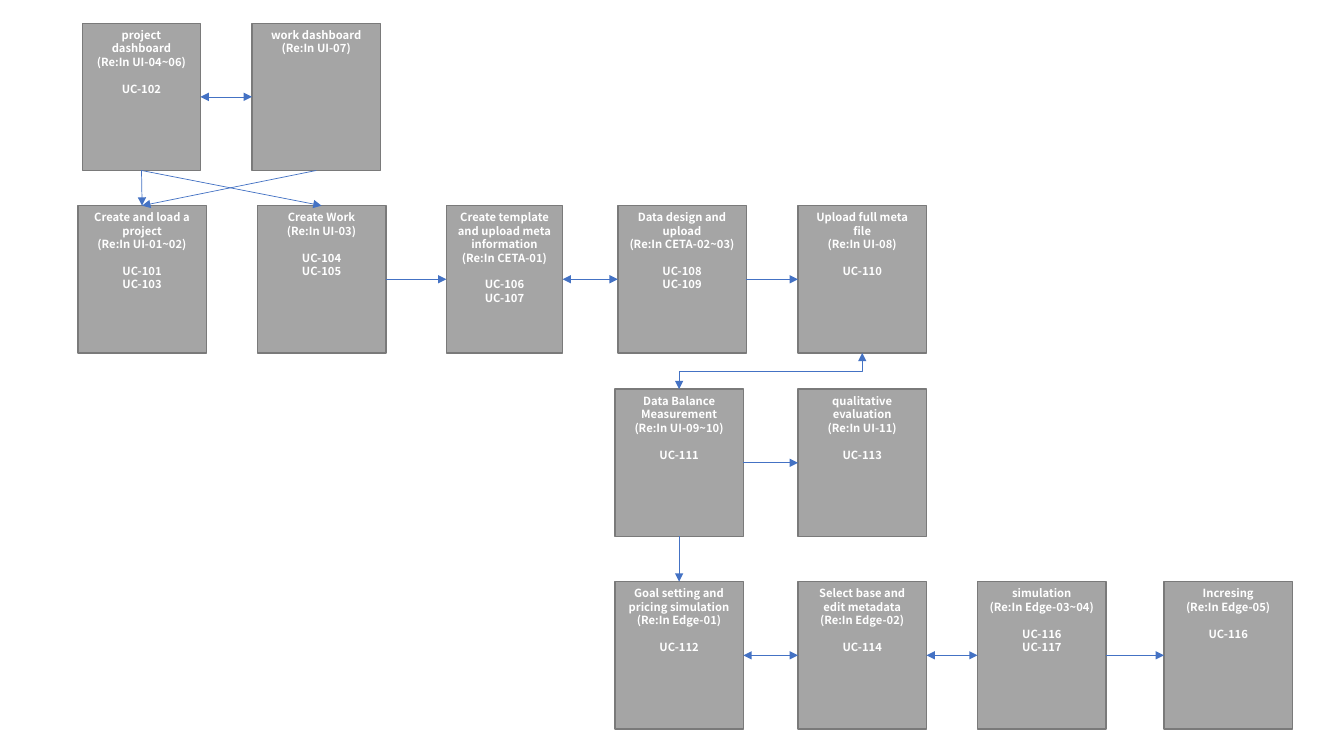
"""Draw the use case flow of the screens as boxes joined by arrows."""
from dataclasses import dataclass

from lxml import etree
from pptx import Presentation
from pptx.dml.color import RGBColor
from pptx.enum.shapes import MSO_CONNECTOR, MSO_SHAPE
from pptx.enum.text import MSO_ANCHOR, PP_ALIGN
from pptx.oxml.ns import qn
from pptx.util import Pt

RECT = MSO_SHAPE.RECTANGLE
LINE, ELBOW = MSO_CONNECTOR.STRAIGHT, MSO_CONNECTOR.ELBOW
CENTER, ANCHOR = PP_ALIGN.CENTER, MSO_ANCHOR.TOP
TOP, LEFT, BOTTOM, RIGHT = range(4)
FONT, SIZE, GAP = "Noto Sans CJK KR", 8, 9.6
GREY, EDGE, WHITE, BLUE = "A5A5A5", "7A7A7A", "FFFFFF", "4472C4"
WIDE, HIGH = 91.8, 105.2
ROWS = (16.6, 146.9, 278, 415.5)


@dataclass
class Box:
    key: str
    left: float
    row: int
    title: str
    ref: str
    codes: tuple = ()
    width: float = WIDE


@dataclass
class Link:
    start: str
    out: int
    end: str
    into: int
    both: bool = False


BOXES = (
    Box("work", 180, 0, "work dashboard", "UI-07"),
    Box("project", 59, 0, "project dashboard", "UI-04~06", ("UC-102",), 84.2),
    Box("load", 55.6, 1, "Create and load a project", "UI-01~02", ("UC-101", "UC-103")),
    Box("create", 183.8, 1, "Create Work", "UI-03", ("UC-104", "UC-105")),
    Box("template", 318.9, 1, "Create template and upload meta information", "CETA-01",
        ("UC-106", "UC-107"), 83),
    Box("design", 441.3, 1, "Data design and upload", "CETA-02~03", ("UC-108", "UC-109")),
    Box("upload", 570, 1, "Upload full meta file", "UI-08", ("UC-110",)),
    Box("balance", 439.2, 2, "Data Balance Measurement", "UI-09~10", ("UC-111",)),
    Box("quality", 570, 2, "qualitative evaluation", "UI-11", ("UC-113",)),
    Box("goal", 439.2, 3, "Goal setting and pricing simulation", "Edge-01", ("UC-112",)),
    Box("base", 570, 3, "Select base and edit metadata", "Edge-02", ("UC-114",)),
    Box("simulate", 698.3, 3, "simulation", "Edge-03~04", ("UC-116", "UC-117")),
    Box("increase", 831.4, 3, "Incresing", "Edge-05", ("UC-116",)),
)

LINKS = (
    Link("project", RIGHT, "work", LEFT, True),
    Link("project", BOTTOM, "load", TOP),
    Link("project", BOTTOM, "create", TOP),
    Link("create", RIGHT, "template", LEFT),
    Link("template", RIGHT, "design", LEFT, True),
    Link("design", RIGHT, "upload", LEFT),
    Link("balance", RIGHT, "quality", LEFT),
    Link("balance", BOTTOM, "goal", TOP),
    Link("goal", RIGHT, "base", LEFT, True),
    Link("base", RIGHT, "simulate", LEFT, True),
    Link("simulate", RIGHT, "increase", LEFT),
    Link("work", BOTTOM, "load", TOP),
)


def paint(color, code: str) -> None:
    color.rgb = RGBColor.from_string(code)


def draw_box(slide, box: Box):
    shape = slide.shapes.add_shape(
        RECT, Pt(box.left), Pt(ROWS[box.row]), Pt(box.width), Pt(HIGH))
    shape.shadow.inherit = False
    shape.fill.solid()
    paint(shape.fill.fore_color, GREY)
    paint(shape.line.color, EDGE)
    shape.line.width = Pt(1)
    frame = shape.text_frame
    frame.word_wrap = True
    frame.vertical_anchor = ANCHOR
    frame.text = "\n".join((box.title, f"(Re:In {box.ref})", *box.codes))
    for rank, para in enumerate(frame.paragraphs):
        para.alignment = CENTER
        if rank == 2:
            para.space_before = Pt(GAP)
        for run in para.runs:
            run.font.name = FONT
            run.font.size = Pt(SIZE)
            run.font.bold = True
            paint(run.font.color, WHITE)
    return shape


def style(wire, both: bool) -> None:
    paint(wire.line.color, BLUE)
    wire.line.width = Pt(0.5)
    stroke = wire.line._get_or_add_ln()
    for tag in ("a:headEnd", "a:tailEnd") if both else ("a:tailEnd",):
        etree.SubElement(stroke, qn(tag), type="triangle")
    etree.SubElement(wire._element.spPr, qn("a:effectLst"))


def draw_link(slide, shapes: dict, link: Link) -> None:
    wire = slide.shapes.add_connector(LINE, 0, 0, 0, 0)
    wire.begin_connect(shapes[link.start], link.out)
    wire.end_connect(shapes[link.end], link.into)
    style(wire, link.both)


def draw_bend(slide, low, high) -> None:
    x1, y1 = low.left + low.width // 2, low.top
    x2, y2 = high.left + high.width // 2, high.top + high.height
    mid_x, mid_y = (x1 + x2) // 2, (y1 + y2) // 2
    half_x, half_y = (x2 - x1) // 2, (y1 - y2) // 2
    wire = slide.shapes.add_connector(
        ELBOW, mid_x + half_y, mid_y + half_x, mid_x - half_y, mid_y - half_x)
    wire._element.spPr.find(qn("a:xfrm")).set("rot", "5400000")
    style(wire, True)


def main() -> None:
    deck = Presentation()
    deck.slide_width, deck.slide_height = Pt(960), Pt(540)
    slide = deck.slides.add_slide(deck.slide_layouts[6])
    shapes = {box.key: draw_box(slide, box) for box in BOXES}
    for link in LINKS:
        draw_link(slide, shapes, link)
    draw_bend(slide, shapes["balance"], shapes["upload"])
    deck.save("out.pptx")


if __name__ == "__main__":
    main()
